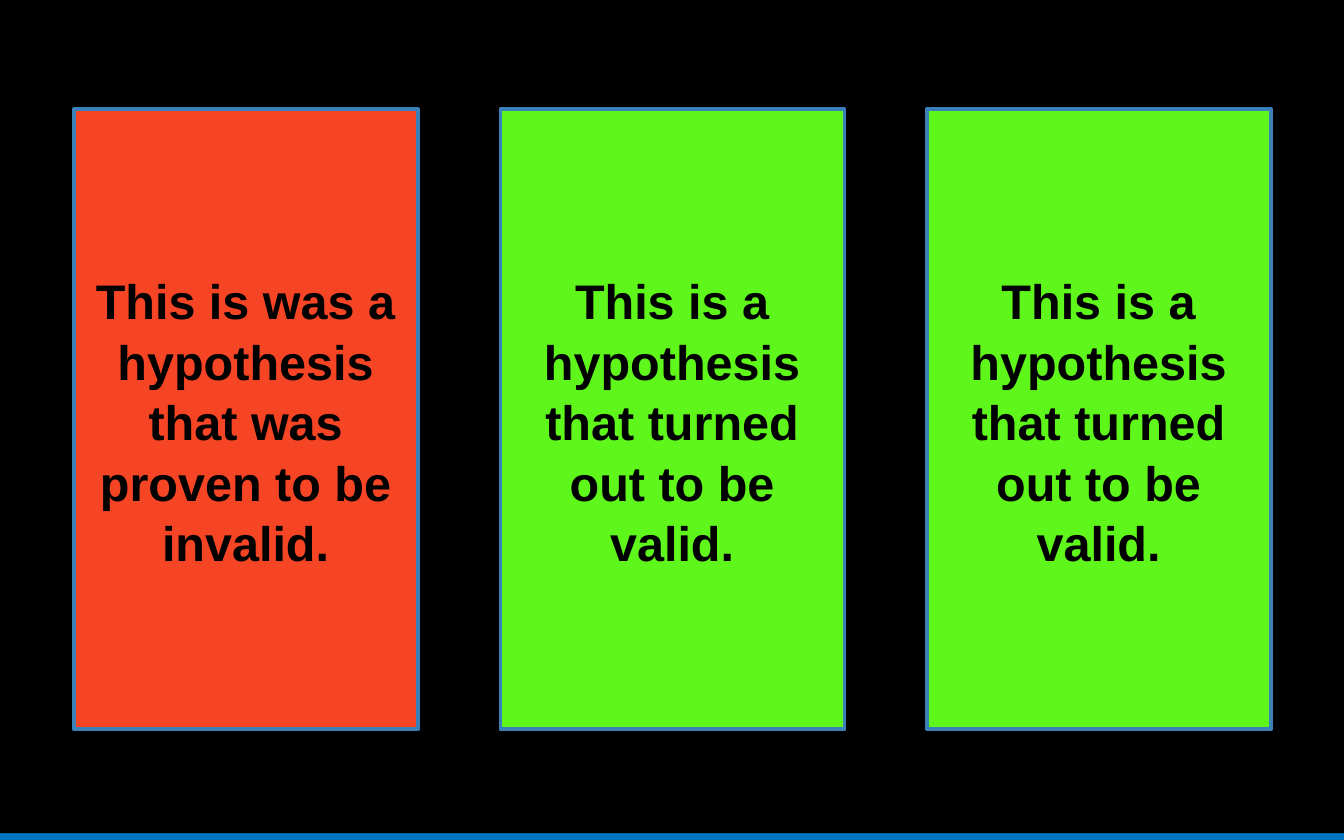
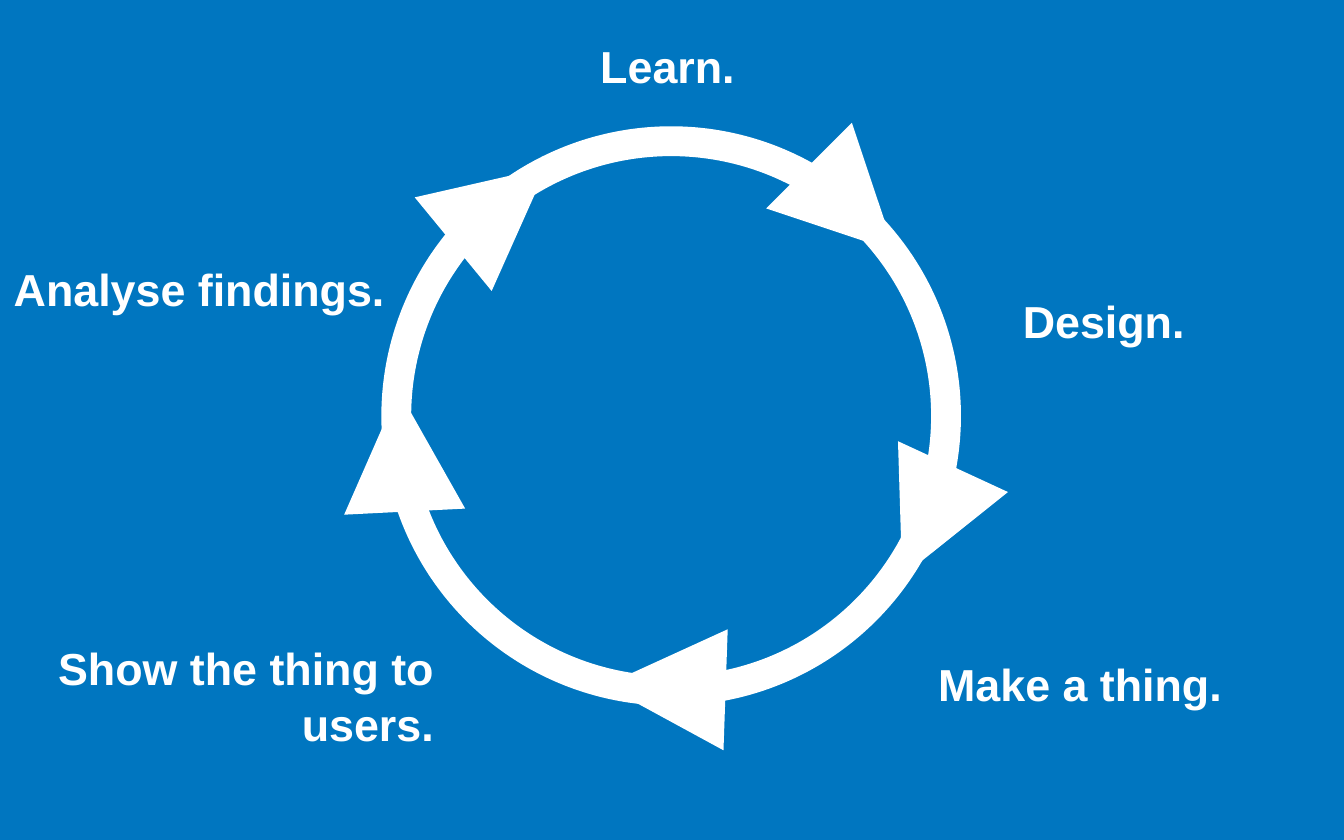
from pptx import Presentation
from pptx.dml.color import RGBColor
from pptx.enum.shapes import MSO_SHAPE as Shape
from pptx.enum.text import MSO_ANCHOR as Anchor, MSO_AUTO_SIZE as AutoSize, PP_ALIGN as Align
from pptx.util import Cm, Pt

COLORS = {
    "page": "F2F2F2",
    "blue": "0076C0",
    "black": "000000",
    "white": "FFFFFF",
    "invalid": "F64524",
    "valid": "5EF61B",
    "card_line": "3A81BA",
}
FONT = "Arial"
SLIDE_WIDTH, SLIDE_HEIGHT = 25.4, 15.88
CARD_LEFT, CARD_TOP, CARD_WIDTH, CARD_HEIGHT = 1.4, 2.06, 6.5, 11.73
CARD_STEP = 8.06
ARROW_SIZE = 2.29

VALID_TEXT = "This is a hypothesis that turned out to be valid."
CARDS = [
    ("This is was a hypothesis that was proven to be invalid.", "invalid"),
    (VALID_TEXT, "valid"),
    (VALID_TEXT, "valid"),
]
STEPS = [
    ("Learn.", (-3.78, -1.5, 32.79, 5.44), Align.CENTER),
    ("Design.", (19.08, 3.33, 32.79, 5.44), Align.LEFT),
    ("Make a thing.", (17.48, 10.19, 32.79, 5.44), Align.LEFT),
    ("Show the thing to users.", (-0.69, 6.99, 9.14, 12.29), Align.RIGHT),
    ("Analyse findings.", (-2.21, -0.03, 9.73, 10.95), Align.RIGHT),
]
ARROWS = [
    (9.45, 3.89, 50.6),
    (16.1, 3.94, 135),
    (17.53, 9.86, 204.8),
    (12.57, 13, 272),
    (7.59, 8.53, 357.1),
]


def rgb(name):
    return RGBColor.from_string(COLORS[name])


def add_figure(slide, kind, box, fill=None, line=None, line_width=0):
    shape = slide.shapes.add_shape(kind, *map(Cm, box))
    shape.shadow.inherit = False
    if fill:
        shape.fill.solid()
        shape.fill.fore_color.rgb = rgb(fill)
    else:
        shape.fill.background()
    if line:
        shape.line.color.rgb = rgb(line)
        shape.line.width = Pt(line_width)
    else:
        shape.line.fill.background()
    return shape


def write_text(shape, text, size, color, align=Align.CENTER):
    frame = shape.text_frame
    frame.word_wrap = True
    frame.auto_size = AutoSize.NONE
    frame.vertical_anchor = Anchor.MIDDLE
    frame.margin_left = frame.margin_right = Cm(0.25)
    frame.margin_top = frame.margin_bottom = Cm(0.25)
    paragraph = frame.paragraphs[0]
    paragraph.alignment = align
    paragraph.space_before = Pt(0)
    paragraph.line_spacing = 1.04
    run = paragraph.add_run()
    run.text = text
    run.font.name = FONT
    run.font.size = Pt(size)
    run.font.bold = True
    run.font.color.rgb = rgb(color)


def move_to_front(shape):
    shape.element.getparent().append(shape.element)


def decorate_master(presentation, slide):
    """Build the page and the bottom band, then hand them to the slide master."""
    page = add_figure(slide, Shape.RECTANGLE, (-0.08, 0, 25.5, SLIDE_HEIGHT), "page")
    band = add_figure(slide, Shape.RECTANGLE, (0, 14.63, SLIDE_WIDTH, 1.25), "blue")
    tree = presentation.slide_master.element.cSld.spTree
    for shape in (page, band):
        tree.append(shape.element)


def add_cover(slide, left, top, color):
    add_figure(slide, Shape.RECTANGLE, (left, top, 25.48, 15.75), color)


def add_card(slide, index, text, fill, text_shape=None):
    left = CARD_LEFT + index * CARD_STEP
    add_figure(slide, Shape.RECTANGLE, (left, CARD_TOP, CARD_WIDTH, CARD_HEIGHT),
               fill, "card_line", 2)
    box = [Cm(value) for value in (left - 0.03, 2.9, CARD_WIDTH + 0.05, 10.08)]
    if text_shape is None:
        text_shape = slide.shapes.add_textbox(*box)
    else:
        text_shape.left, text_shape.top, text_shape.width, text_shape.height = box
        move_to_front(text_shape)
    write_text(text_shape, text, 26, "black")


def add_arrowhead(slide, center_x, center_y, rotation):
    box = (center_x - ARROW_SIZE / 2, center_y - ARROW_SIZE / 2, ARROW_SIZE, ARROW_SIZE)
    arrowhead = add_figure(slide, Shape.ISOSCELES_TRIANGLE, box, "white")
    arrowhead.rotation = rotation


def build_hypotheses(slide):
    title, subtitle = slide.placeholders
    title.element.getparent().remove(title.element)
    add_cover(slide, -0.08, 0, "black")
    for index, (text, fill) in enumerate(CARDS):
        add_card(slide, index, text, fill, subtitle if index == 0 else None)


def build_cycle(slide):
    add_cover(slide, -0.05, -0.05, "blue")
    add_figure(slide, Shape.OVAL, (7.49, 2.67, 10.39, 10.39), line="white", line_width=16)
    for text, box, align in STEPS:
        label = slide.shapes.add_textbox(*map(Cm, box))
        write_text(label, text, 24, "white", align)
    for arrow in ARROWS:
        add_arrowhead(slide, *arrow)


def main():
    presentation = Presentation()
    presentation.slide_width = Cm(SLIDE_WIDTH)
    presentation.slide_height = Cm(SLIDE_HEIGHT)
    layouts = presentation.slide_layouts
    hypotheses = presentation.slides.add_slide(layouts.get_by_name("Title Slide"))
    decorate_master(presentation, hypotheses)
    build_hypotheses(hypotheses)
    build_cycle(presentation.slides.add_slide(layouts.get_by_name("Blank")))
    presentation.save("out.pptx")


if __name__ == "__main__":
    main()
